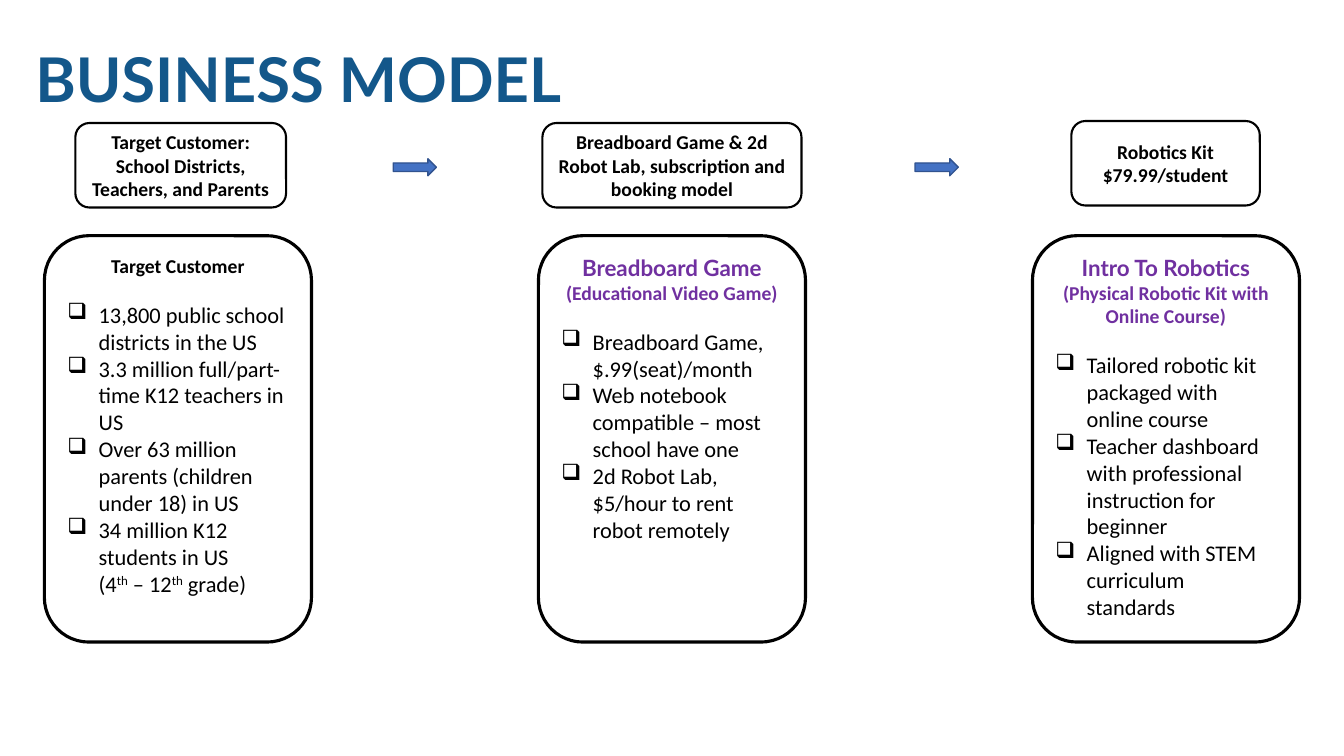
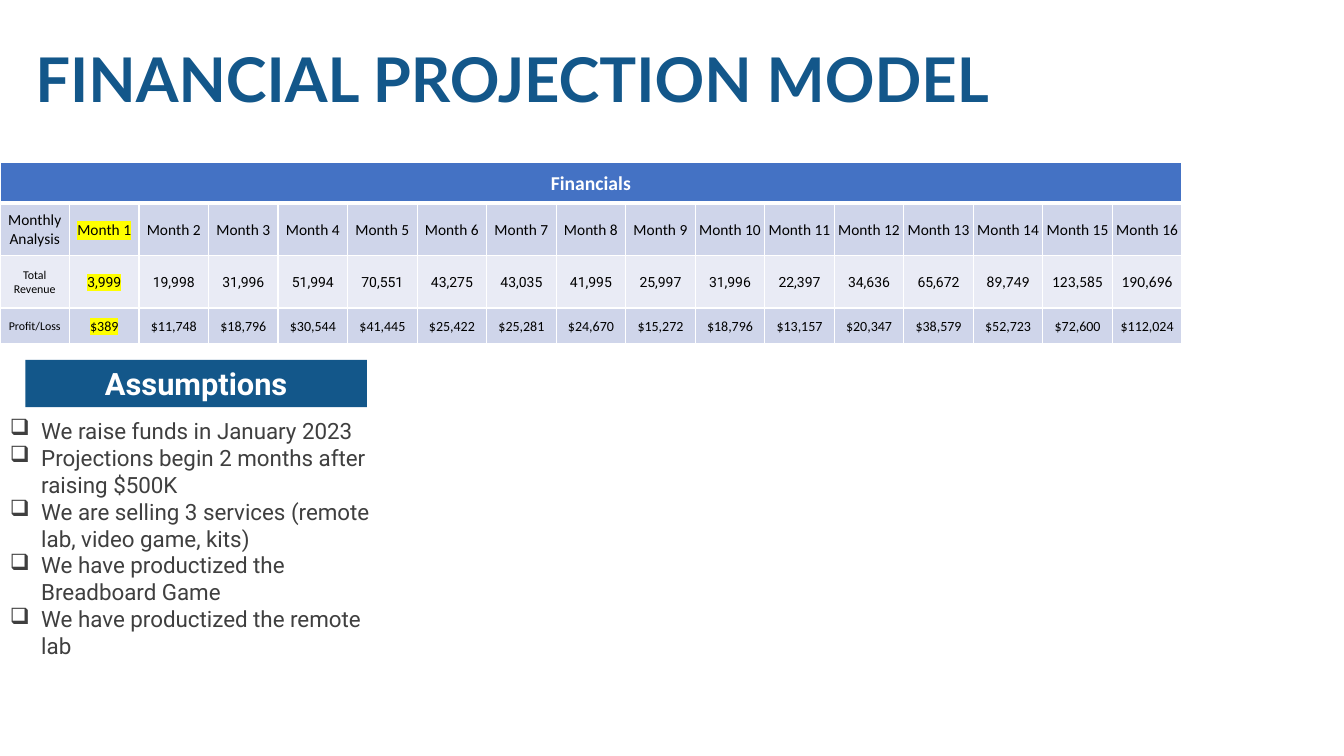
"""Build two pitch slides: the business model and the financial projection."""
import pptx
import pptx.dml.color
import pptx.enum.shapes
import pptx.enum.text
import pptx.oxml.ns
import pptx.util
from lxml import etree

Cm = pptx.util.Cm
Pt = pptx.util.Pt
RGBColor = pptx.dml.color.RGBColor
MSO_SHAPE = pptx.enum.shapes.MSO_SHAPE
PP_ALIGN = pptx.enum.text.PP_ALIGN
MSO_ANCHOR = pptx.enum.text.MSO_ANCHOR
qn = pptx.oxml.ns.qn

NAVY = RGBColor(0x13, 0x57, 0x8A)
BLUE = RGBColor(0x44, 0x72, 0xC4)
DARK_BLUE = RGBColor(0x31, 0x53, 0x8F)
PURPLE = RGBColor(0x70, 0x30, 0xA0)
BLACK = RGBColor(0, 0, 0)
GREY = RGBColor(0x3F, 0x3F, 0x3F)
WHITE = RGBColor(0xFF, 0xFF, 0xFF)
YELLOW = RGBColor(0xFF, 0xFF, 0)
BAND_DARK = RGBColor(0xCF, 0xD5, 0xEA)
BAND_LIGHT = RGBColor(0xE9, 0xEB, 0xF5)

STEPS = [
    (1.9, 3.1, 5.31, "Target Customer: School Districts, Teachers, and Parents"),
    (13.67, 3.1, 6.53, "Breadboard Game & 2d Robot Lab, subscription and booking model"),
    (27, 3.05, 4.75, "Robotics Kit $79.99/student"),
]
ARROWS = [9.91, 23.06]
CARDS = [
    ([[("Target Customer", 14, BLACK, "Calibri")]],
     ["13,800 public school districts in the US",
      "3.3 million full/part-time K12 teachers in US",
      "Over 63 million parents (children under 18) in US",
      "34 million K12 students in US\v(4^th^ – 12^th^ grade)"]),
    ([[("Breadboard Game", 16, PURPLE, "Lato")],
      [("(Educational Video Game)", 14, PURPLE, "Calibri")]],
     ["Breadboard Game, $.99(seat)/month",
      "Web notebook compatible – most school have one",
      "2d Robot Lab, $5/hour to rent robot remotely"]),
    ([[("Intro To Robotics ", 16, PURPLE, "Lato"),
       ("(Physical Robotic Kit with Online Course)", 14, PURPLE, "Calibri")]],
     ["Tailored robotic kit packaged with online course",
      "Teacher dashboard with professional instruction for beginner",
      "Aligned with STEM curriculum standards"]),
]
ASSUMPTIONS = [
    "We raise funds in January 2023",
    "Projections begin 2 months after raising $500K",
    "We are selling 3 services (remote lab, video game, kits)",
    "We have productized the Breadboard Game",
    "We have productized the remote lab",
]
REVENUE = ["3,999", "19,998", "31,996", "51,994", "70,551", "43,275", "43,035", "41,995",
           "25,997", "31,996", "22,397", "34,636", "65,672", "89,749", "123,585", "190,696"]
PROFIT = ["$389", "$11,748", "$18,796", "$30,544", "$41,445", "$25,422", "$25,281", "$24,670",
          "$15,272", "$18,796", "$13,157", "$20,347", "$38,579", "$52,723", "$72,600", "$112,024"]


def style(r, size, color, font, bold=False):
    """Format one run."""
    r.font.size = Pt(size)
    r.font.name = font
    r.font.bold = bold
    r.font.color.rgb = color


def add_run(p, text, size, color, font, bold=False):
    """Append a formatted run to a paragraph."""
    r = p.add_run()
    r.text = text
    style(r, size, color, font, bold)
    return r


def next_paragraph(tf):
    """Return the empty first paragraph of a frame, or a new one."""
    first = tf.paragraphs[0]
    return tf.add_paragraph() if first.runs else first


def add_bullets(tf, items, color, font, gap=0):
    """Write 16 pt checkbox bullets, where ^ toggles superscript and \\v breaks the line."""
    for n, item in enumerate(items):
        p = next_paragraph(tf)
        p.alignment = PP_ALIGN.LEFT
        if gap and n == 0:
            p.space_before = Pt(gap)
        ppr = p._p.get_or_add_pPr()
        ppr.set("marL", str(Cm(0.79)))
        ppr.set("indent", str(-Cm(0.79)))
        bu_color = etree.SubElement(ppr, qn("a:buClr"))
        etree.SubElement(bu_color, qn("a:srgbClr"), val=str(color))
        etree.SubElement(ppr, qn("a:buChar"), char="❑")
        for i, piece in enumerate(item.split("^")):
            for j, line in enumerate(piece.split("\v")):
                if j:
                    p.add_line_break()
                    etree.SubElement(p._p[-1], qn("a:rPr"), sz="1600")
                r = add_run(p, line, 16, color, font)
                if i % 2:
                    r.font._element.set("baseline", "30000")


def add_box(s, kind, x, y, w, h, fill, line=None, width=1):
    """Add a flat preset shape, with an outline when a line colour is given."""
    sp = s.shapes.add_shape(kind, Cm(x), Cm(y), Cm(w), Cm(h))
    sp.shadow.inherit = False
    sp.fill.solid()
    sp.fill.fore_color.rgb = fill
    if line is None:
        sp.line.fill.background()
    else:
        sp.line.color.rgb = line
        sp.line.width = Pt(width)
    sp.text_frame.word_wrap = True
    return sp


def add_text_box(s, x, y, w, h):
    """Add a wrapping text box and return its frame."""
    tf = s.shapes.add_textbox(Cm(x), Cm(y), Cm(w), Cm(h)).text_frame
    tf.word_wrap = True
    return tf


def add_title(s, text, w):
    """Add the large slide title."""
    tf = add_text_box(s, 0.64, 0.9, w, 2.13)
    tf.text = text
    style(tf.paragraphs[0].runs[0], 44, NAVY, "Lato", True)


def add_label(sp, text, size, color, font):
    """Write one centred bold label in a shape."""
    tf = sp.text_frame
    tf.text = text
    tf.vertical_anchor = MSO_ANCHOR.MIDDLE
    p = tf.paragraphs[0]
    p.alignment = PP_ALIGN.CENTER
    style(p.runs[0], size, color, font, True)


def add_card(s, x, y, w, h, heading, items):
    """Add a rounded card with a centred heading and bullets."""
    sp = add_box(s, MSO_SHAPE.ROUNDED_RECTANGLE, x, y, w, h, WHITE, BLACK, 2.25)
    tf = sp.text_frame
    tf.vertical_anchor = MSO_ANCHOR.TOP
    for parts in heading:
        p = next_paragraph(tf)
        p.alignment = PP_ALIGN.CENTER
        for part in parts:
            add_run(p, *part, bold=True)
    add_bullets(tf, items, BLACK, "Calibri", gap=17)


def fill_cell(cell, text, fill, size, color, font, top=1, bottom=1, bold=False, marked=False):
    """Set the text, borders and fill of one table cell."""
    cell.margin_left = cell.margin_right = cell.margin_top = Cm(0.03)
    cell.margin_bottom = 0
    cell.vertical_anchor = MSO_ANCHOR.MIDDLE
    tcpr = cell._tc.get_or_add_tcPr()
    for side, width in (("L", 1), ("R", 1), ("T", top), ("B", bottom)):
        ln = etree.SubElement(tcpr, qn("a:ln" + side), w=str(Pt(width)))
        solid = etree.SubElement(ln, qn("a:solidFill"))
        etree.SubElement(solid, qn("a:srgbClr"), val=str(WHITE))
    cell.fill.solid()
    cell.fill.fore_color.rgb = fill
    cell.text_frame.text = text
    p = cell.text_frame.paragraphs[0]
    p.alignment = PP_ALIGN.CENTER
    r = p.runs[0]
    style(r, size, color, font, bold)
    if marked:
        mark = etree.Element(qn("a:highlight"))
        etree.SubElement(mark, qn("a:srgbClr"), val=str(YELLOW))
        r.font._element.find(qn("a:solidFill")).addnext(mark)


def add_financials(s, x, y, w):
    """Add the monthly table, with the first month highlighted."""
    heights = [1.02, 1.32, 1.32, 0.91]
    months = [f"Month {n}" for n in range(1, 17)]
    rows = [
        ("Monthly Analysis", 11, months, 11, "Calibri", BAND_DARK),
        ("Total Revenue", 8.5, REVENUE, 10, "Roboto", BAND_LIGHT),
        ("Profit/Loss", 8.5, PROFIT, 10, "Calibri", BAND_DARK),
    ]
    cols = len(months) + 1
    table = s.shapes.add_table(len(heights), cols, Cm(x), Cm(y), Cm(w), Cm(sum(heights))).table
    table.horz_banding = False
    for row, height in zip(table.rows, heights):
        row.height = Cm(height)
    for col in table.columns:
        col.width = Cm(w / cols)
    table.cell(0, 0).merge(table.cell(0, cols - 1))
    fill_cell(table.cell(0, 0), "Financials", BLUE, 14, WHITE, "Calibri", bottom=3, bold=True)
    for i, (label, label_size, values, size, font, band) in enumerate(rows, 1):
        top = 3 if i == 1 else 1
        fill_cell(table.cell(i, 0), label, band, label_size, BLACK, "Calibri", top)
        for j, value in enumerate(values, 1):
            late = values is REVENUE and j > 13
            look = (11, BLACK, "Calibri") if late else (size, BLACK, font)
            fill_cell(table.cell(i, j), value, band, *look, top, marked=j == 1)


def add_assumptions(s, x, y):
    """Add the assumptions banner and the list below it."""
    banner = add_box(s, MSO_SHAPE.RECTANGLE, x + 0.64, y, 8.61, 1.19, NAVY)
    add_label(banner, "Assumptions", 22, WHITE, "Roboto")
    add_bullets(add_text_box(s, x, y + 1.32, 10.21, 8.6), ASSUMPTIONS, GREY, "Roboto")


def build_business_model(s):
    """Build the slide of steps, arrows and cards."""
    for x, y, w, text in STEPS:
        sp = add_box(s, MSO_SHAPE.ROUNDED_RECTANGLE, x, y, w, 2.13, WHITE, BLACK, 1.5)
        add_label(sp, text, 14, BLACK, "Calibri")
    for x in ARROWS:
        add_box(s, MSO_SHAPE.RIGHT_ARROW, x, 4, 1.09, 0.43, BLUE, DARK_BLUE)
    for i, (heading, items) in enumerate(CARDS):
        add_card(s, 1.12 + i * 12.45, 5.94, 6.73, 10.24, heading, items)
    add_title(s, "BUSINESS MODEL", 18.77)


def build_projection(s):
    """Build the slide of the financial table and its assumptions."""
    add_title(s, "FINANCIAL PROJECTION MODEL", 30.86)
    add_assumptions(s, 0, 9.07)
    add_financials(s, 0, 4.1, 29.8)


def main():
    """Build and save the presentation."""
    prs = pptx.Presentation()
    prs.slide_width = Cm(33.87)
    prs.slide_height = Cm(19.05)
    for build in (build_business_model, build_projection):
        build(prs.slides.add_slide(prs.slide_layouts[6]))
    prs.save("out.pptx")


if __name__ == "__main__":
    main()
